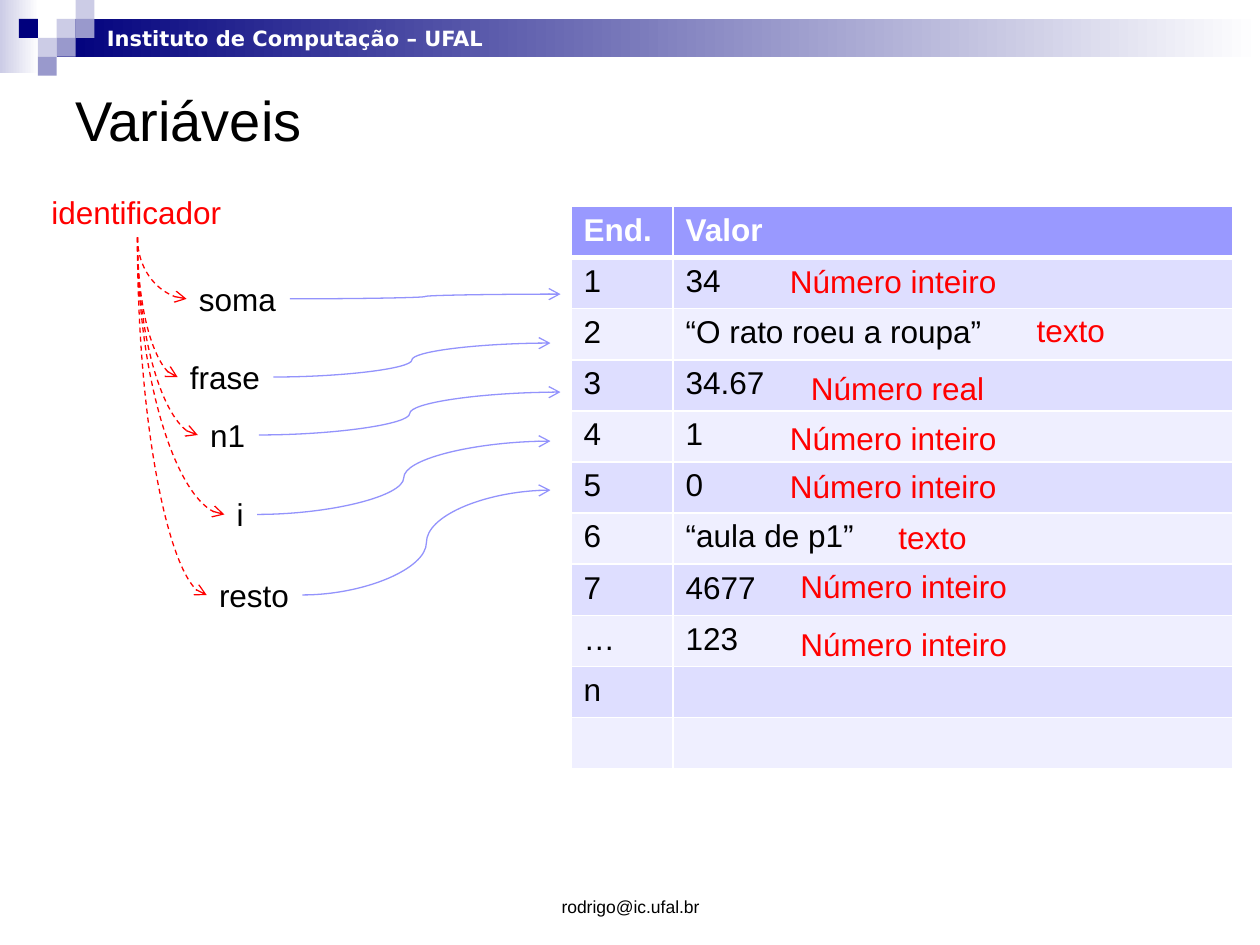
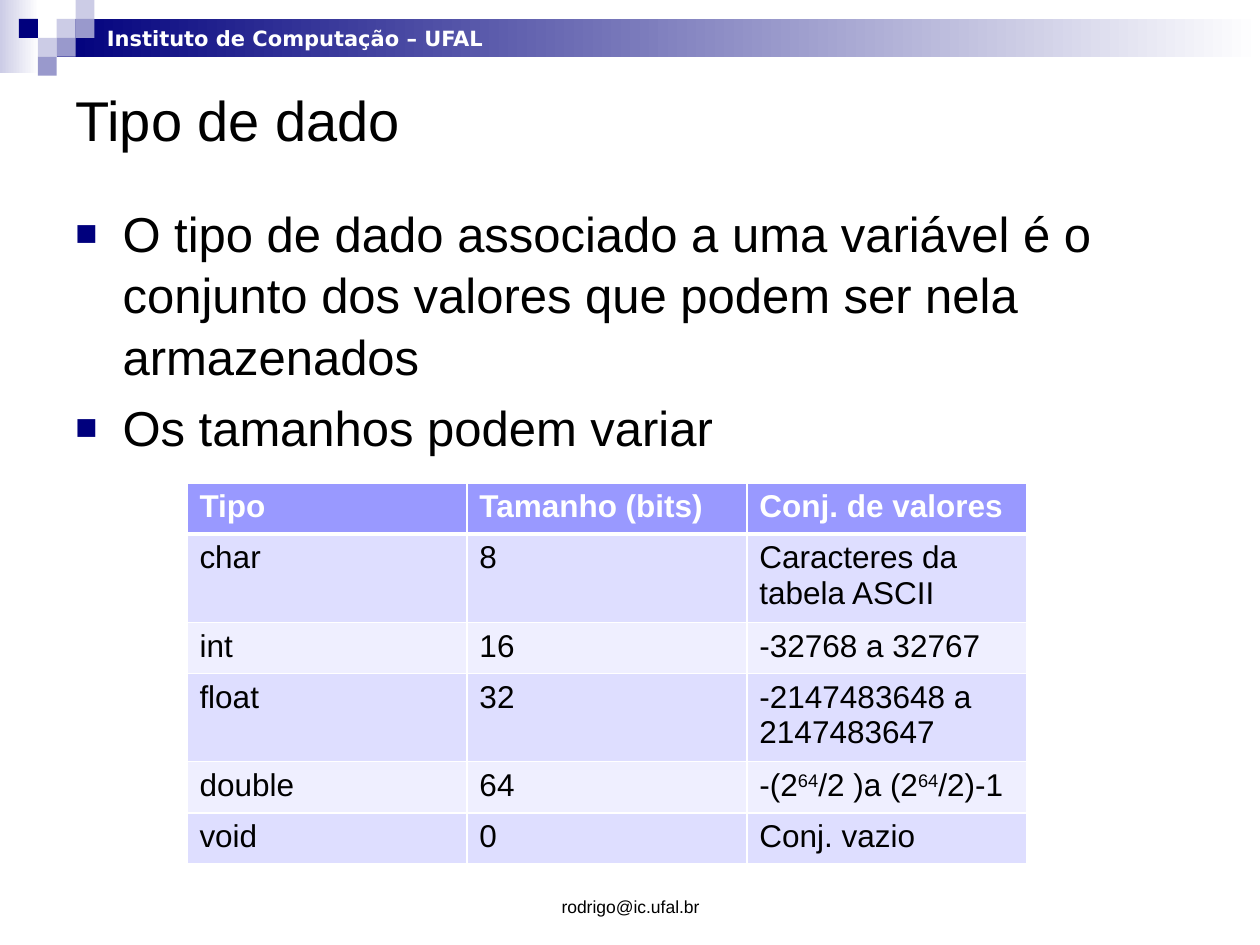
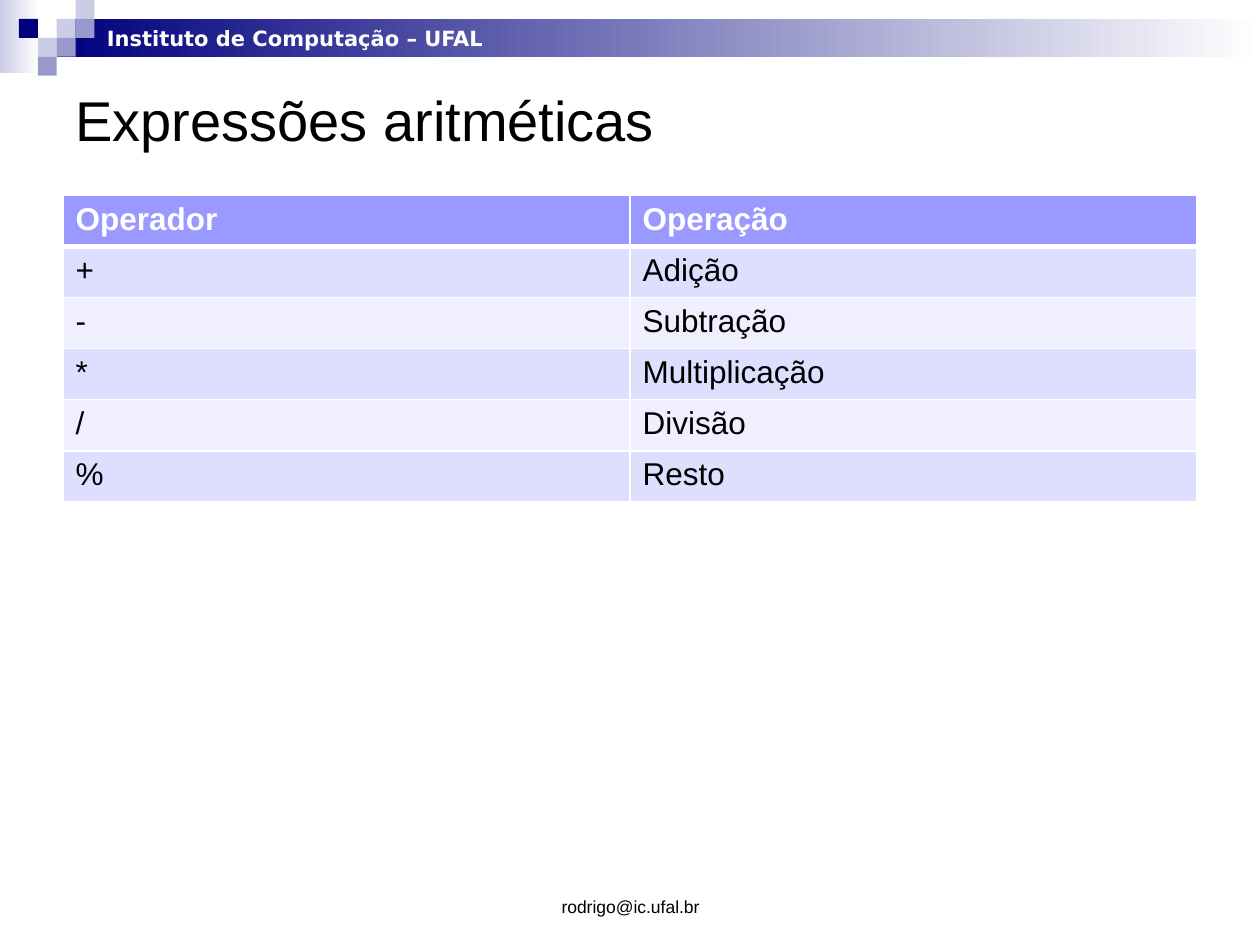
import lxml.etree
import pptx
import pptx.dml.color
import pptx.enum.dml
import pptx.enum.shapes
import pptx.enum.text
import pptx.oxml.ns
import pptx.util

Pt = pptx.util.Pt
qn = pptx.oxml.ns.qn
SHAPE = pptx.enum.shapes.MSO_SHAPE
CURVE = pptx.enum.shapes.MSO_CONNECTOR.CURVE
ANCHOR = pptx.enum.text.MSO_ANCHOR
ALIGN = pptx.enum.text.PP_ALIGN
FIT = pptx.enum.text.MSO_AUTO_SIZE
DASH = pptx.enum.dml.MSO_LINE.DASH

HUES = {
    "navy": "00007D", "mid": "9999CC", "pale": "CCCCE6", "white": "FFFFFF",
    "black": "000000", "red": "FF0000", "link": "9393FC",
    "head": "9999FF", "odd": "DEDEFF", "even": "EFEFFF",
}
UNIT = 10.8
ROW = 29.2
LABEL = 29


def hue(name):
    return pptx.dml.color.RGBColor.from_string(HUES[name])


def node(parent, tag, **attrs):
    return lxml.etree.SubElement(parent, qn(tag), attrs)


def style(para, size, color="black", bold=False, face="Arial"):
    for run in para.runs:
        font = run.font
        font.name, font.size, font.bold = face, Pt(size), bold
        font.color.rgb = hue(color)


def write(slide, box, text, size, wrap=True, anchor=ANCHOR.TOP, **looks):
    shape = slide.shapes.add_textbox(*map(Pt, box))
    frame = shape.text_frame
    frame.word_wrap = wrap
    frame.auto_size = FIT.NONE if wrap else FIT.SHAPE_TO_FIT_TEXT
    frame.vertical_anchor = anchor
    frame.text = text
    for para in frame.paragraphs:
        style(para, size, **looks)
    return frame


def block(slide, box, color, fade=False):
    shape = slide.shapes.add_shape(SHAPE.RECTANGLE, *map(Pt, box))
    shape.shadow.inherit = False
    shape.line.fill.background()
    if fade:
        shape.fill.gradient()
        shape.fill.gradient_angle = 0
        for stop, name in zip(shape.fill.gradient_stops, (color, "white")):
            stop.color.rgb = hue(name)
    else:
        shape.fill.solid()
        shape.fill.fore_color.rgb = hue(color)


def band(slide):
    block(slide, (0, 0, 22.3, 41.8), "pale", True)
    block(slide, (3 * UNIT, UNIT, 720 - 3 * UNIT, 2 * UNIT), "navy", True)
    tiles = [(3, 1, "pale"), (4, 0, "pale"), (4, 1, "mid"), (2, 2, "pale"),
             (1, 1, "navy"), (3, 2, "mid"), (2, 3, "mid")]
    for col, row, color in tiles:
        block(slide, (col * UNIT, row * UNIT, UNIT, UNIT), color)
    write(slide, (54, UNIT, 233, 21.6), "Instituto de Computação – UFAL", 12,
          wrap=False, color="white", bold=True, face="DejaVu Sans")


def start(deck, title):
    slide = deck.slides.add_slide(deck.slide_layouts[6])
    band(slide)
    write(slide, (36, 36, 648, 64), title, 32, anchor=ANCHOR.MIDDLE)
    foot = write(slide, (246.2, 491.8, 228.2, 36), "rodrigo@ic.ufal.br", 10,
                 anchor=ANCHOR.BOTTOM)
    foot.paragraphs[0].alignment = ALIGN.CENTER
    return slide


def edge(cell, row):
    props = cell._tc.get_or_add_tcPr()
    thick = {"L": 1, "R": 1, "T": 3 if row == 1 else 1, "B": 3 if row == 0 else 1}
    for side, width in thick.items():
        line = node(props, f"a:ln{side}", w=str(Pt(width)))
        node(node(line, "a:solidFill"), "a:srgbClr", val=HUES["white"])


def fill_cell(cell, text, row):
    edge(cell, row)
    cell.fill.solid()
    cell.fill.fore_color.rgb = hue("odd" if row % 2 else "even" if row else "head")
    para = cell.text_frame.paragraphs[0]
    parts = text.split("^")
    para.text = parts[0]
    for part in parts[1:]:
        para.add_run().text = part
    style(para, 18, "black" if row else "white", row == 0)
    for power in para.runs[1::2]:
        power._r.get_or_add_rPr().set("baseline", "30000")


def grid(slide, left, top, widths, rows):
    box = (left, top, sum(widths), ROW * len(rows))
    table = slide.shapes.add_table(len(rows), len(widths), *map(Pt, box)).table
    for col, width in zip(table.columns, widths):
        col.width = Pt(width)
    for index, texts in enumerate(rows):
        table.rows[index].height = Pt(ROW)
        for col, text in enumerate(texts):
            fill_cell(table.cell(index, col), text, index)


def curve(slide, ends, color, dash=None):
    link = slide.shapes.add_connector(CURVE, *map(Pt, ends))
    link.line.color.rgb = hue(color)
    link.line.width = Pt(0.75)
    if dash:
        link.line.dash_style = dash
    node(link.line._get_or_add_ln(), "a:tailEnd", type="arrow")
    node(link._element.spPr, "a:effectLst")
    return link


def drop(slide, x, y, end_x, end_y):
    wide, tall = end_x - x, end_y - y
    left = (x + end_x - tall) / 2
    top = (y + end_y - wide) / 2
    link = curve(slide, (left + tall, top, left, top + wide), "red", DASH)
    link.rotation = 270
    link._element.spPr.find(qn("a:prstGeom")).set("prst", "curvedConnector2")


def names(slide, left, top):
    write(slide, (left, top, 112.3, LABEL), "identificador", 18, wrap=False, color="red")
    items = [("soma", 84.3, 49.7, 59, 298), ("frase", 79.2, 94.4, 54.7, 292.3),
             ("n1", 90.7, 127.5, 35, 298), ("i", 105.9, 172.9, 18.7, 292.3),
             ("resto", 95.8, 218.9, 54.7, 292.3)]
    for index, (text, dx, dy, width, reach) in enumerate(items):
        x, y = left + dx, top + dy
        mid = y + LABEL / 2
        write(slide, (x, y, width, LABEL), text, 18, wrap=False)
        curve(slide, (x + width, mid, left + reach, top + 61.5 + 28 * index), "link")
        drop(slide, left + 56.2, top + LABEL, x, mid)


def notes(slide, left, top):
    whole = "Número inteiro"
    items = [(whole, 118, 28, 134), ("texto", 259, 56, 54),
             ("Número real", 130, 89.5, 114.5), (whole, 118, 118, 134),
             (whole, 118, 145.5, 134), ("texto", 180, 174.5, 54),
             (whole, 124, 202.5, 134), (whole, 124, 235.5, 134)]
    for text, dx, dy, width in items:
        write(slide, (left + dx, top + dy, width, LABEL), text, 18, wrap=False, color="red")


def points(slide, box, texts):
    frame = write(slide, box, "\n".join(texts), 28)
    for para in frame.paragraphs:
        para.space_before = Pt(5.6)
        para.line_spacing = 1.04
        props = para._p.get_or_add_pPr()
        props.set("marL", str(Pt(27)))
        props.set("indent", str(Pt(-27)))
        node(node(props, "a:buClr"), "a:srgbClr", val=HUES["navy"])
        node(props, "a:buSzPct", val="75000")
        node(props, "a:buFont", typeface="Arial")
        node(props, "a:buChar", char="■")


def main():
    deck = pptx.Presentation()
    deck.slide_width, deck.slide_height = Pt(720), Pt(540)

    slide = start(deck, "Variáveis")
    grid(slide, 326.3, 118, (58.3, 319.7), [
        ("End.", "Valor"), ("1", "34"), ("2", "“O rato roeu a roupa”"),
        ("3", "34.67"), ("4", "1"), ("5", "0"), ("6", "“aula de p1”"),
        ("7", "4677"), ("…", "123"), ("n", ""), ("", "")])
    names(slide, 22.3, 106.6)
    notes(slide, 326.3, 118)

    slide = start(deck, "Tipo de dado")
    points(slide, (36, 111.6, 648, 374.4), [
        "O tipo de dado associado a uma variável é o conjunto dos valores "
        "que podem ser nela armazenados",
        "Os tamanhos podem variar"])
    grid(slide, 106.8, 276, (160, 160, 160), [
        ("Tipo", "Tamanho (bits)", "Conj. de valores"),
        ("char", "8", "Caracteres da tabela ASCII"),
        ("int", "16", "-32768 a 32767"),
        ("float", "32", "-2147483648 a 2147483647"),
        ("double", "64", "-(2^64^/2 )a (2^64^/2)-1"),
        ("void", "0", "Conj. vazio")])

    slide = start(deck, "Expressões aritméticas")
    grid(slide, 36, 111.6, (324, 324), [
        ("Operador", "Operação"), ("+", "Adição"), ("-", "Subtração"),
        ("*", "Multiplicação"), ("/", "Divisão"), ("%", "Resto")])

    deck.save("out.pptx")


if __name__ == "__main__":
    main()
